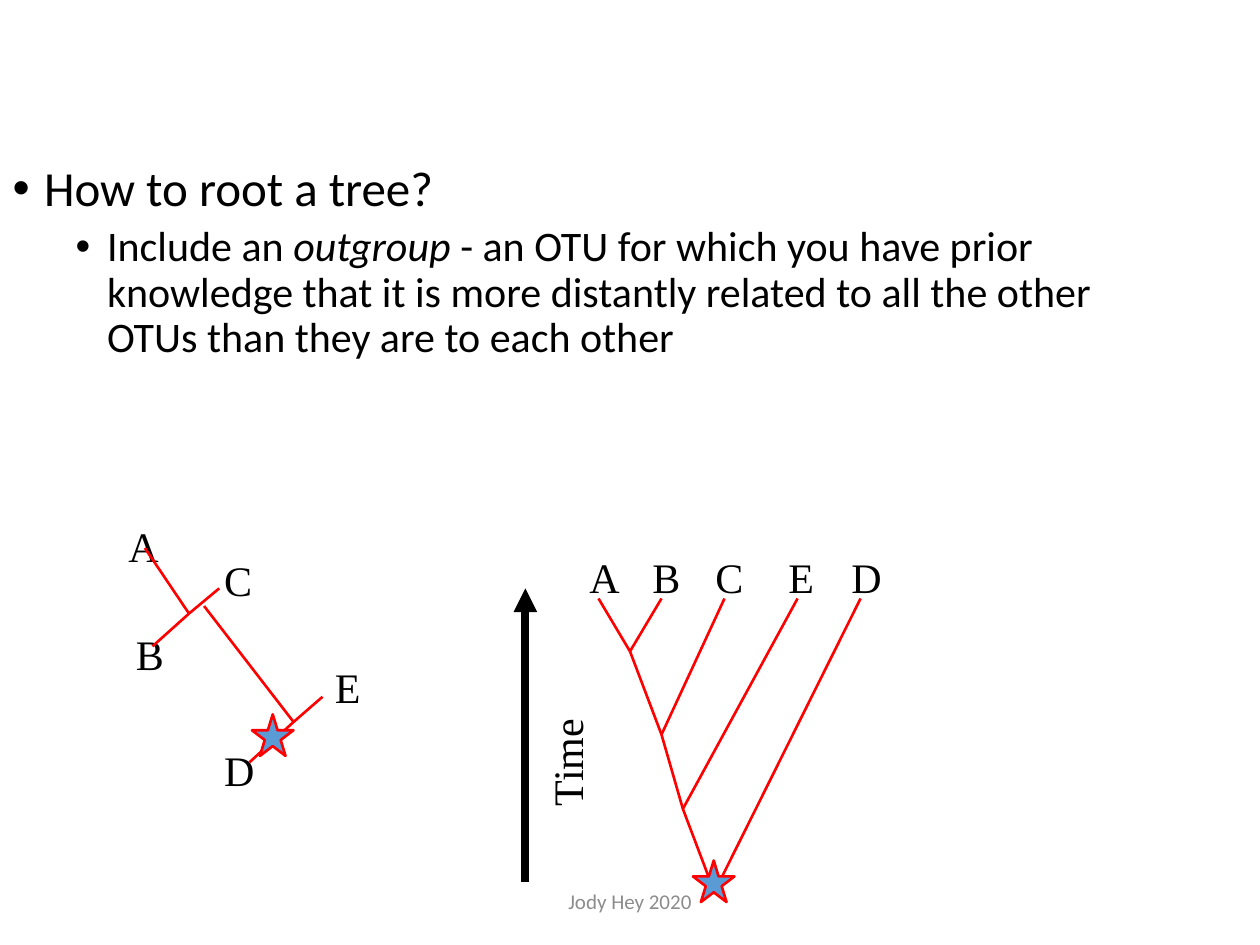
"""Build a slide on rooting a tree with an outgroup."""
from dataclasses import dataclass
from itertools import pairwise

from lxml import etree
from pptx import Presentation
from pptx import util as u
from pptx.dml.color import RGBColor
from pptx.enum import shapes, text
from pptx.oxml import ns


@dataclass(frozen=True)
class Theme:
    ink: str = "000000"
    branch: str = "FF0000"
    star: str = "5B9BD5"
    grey: str = "8C8C8C"
    sans: str = "Calibri"
    serif: str = "Times New Roman"
    head: int = 28
    sub: int = 24
    label: int = 24
    foot: int = 12
    thin: float = 1.5
    thick: float = 4.5


THEME = Theme()


def assign(item, values):
    for key, value in values.items():
        setattr(item, key, value)


def style(font, face, size, color):
    assign(font, {"name": face, "size": u.Pt(size)})
    font.color.rgb = RGBColor.from_string(color)


def inches(*values):
    return [u.Inches(value) for value in values]


def add_label(parent, words, box, turn=0):
    label = parent.add_textbox(*inches(*box))
    label.rotation = turn
    frame = label.text_frame
    assign(frame, {"word_wrap": True, "text": words})
    style(frame.paragraphs[0].font, THEME.serif, THEME.label, THEME.ink)


def add_line(parent, start, end, color=THEME.branch, width=THEME.thin):
    line = parent.add_connector(
        shapes.MSO_CONNECTOR.STRAIGHT, *inches(*start, *end))
    line.line.color.rgb = RGBColor.from_string(color)
    line.line.width = u.Pt(width)
    etree.SubElement(line._element.spPr, ns.qn("a:effectLst"))
    return line


def add_star(parent, left, top):
    star = parent.add_shape(
        shapes.MSO_SHAPE.STAR_5_POINT, *inches(left, top, 0.33, 0.33))
    star.shadow.inherit = False
    star.fill.solid()
    star.fill.fore_color.rgb = RGBColor.from_string(THEME.star)
    star.line.color.rgb = RGBColor.from_string(THEME.branch)
    star.line.width = u.Pt(THEME.thin)


def add_point(para, level, runs, size, indent, before):
    props = para._p.get_or_add_pPr()
    for key, value in {"marL": indent, "indent": -0.25}.items():
        props.set(key, str(u.Inches(value)))
    assign(para, {"level": level, "line_spacing": 0.9,
                  "space_before": u.Pt(before)})
    etree.SubElement(props, ns.qn("a:buFont"), typeface="Arial")
    etree.SubElement(props, ns.qn("a:buChar"), char="•")
    for words, slant in runs:
        run = para.add_run()
        run.text = words
        style(run.font, THEME.sans, size, THEME.ink)
        run.font.italic = slant


def fill_body(body):
    left, top, width, height = inches(0, 1.25, 9, 2.75)
    assign(body, {"left": left, "top": top, "width": width, "height": height})
    frame = body.text_frame
    assign(frame, {"word_wrap": True, "auto_size": text.MSO_AUTO_SIZE.NONE})
    add_point(frame.paragraphs[0], 0, [("How to root a tree?", False)],
              THEME.head, 0.25, 0)
    add_point(frame.add_paragraph(), 1, [
        ("Include an ", False),
        ("outgroup", True),
        (" - an OTU for which you have prior knowledge that it is more "
         "distantly related to all the other OTUs than they are to each "
         "other", False),
    ], THEME.sub, 0.75, 5)


def add_unrooted(parent):
    group = parent.add_group_shape().shapes
    spots = {"D": (1.68, 5.86), "E": (2.56, 5.2), "C": (1.68, 4.35),
             "B": (0.98, 4.94), "A": (0.92, 4.08)}
    for name, spot in spots.items():
        add_label(group, name, (*spot, 0.35, 0.5))
    forks = {(1.5, 4.87): [(1.15, 4.35), (1.21, 5.13), (1.74, 4.67)],
             (2.33, 5.73): [(1.62, 4.81), (2.56, 5.53), (1.98, 6.05)]}
    for fork, ends in forks.items():
        for end in ends:
            add_line(group, fork, end)
    add_star(parent, 2, 5.67)


def add_rooted(parent):
    group = parent.add_group_shape().shapes
    tips = {"A": 4.75, "B": 5.25, "C": 5.75, "E": 6.33, "D": 6.83}
    spine = [(5, 5.17), (5.25, 5.83), (5.42, 6.42), (5.67, 7.08)]
    for (name, tip), node in zip(tips.items(), spine[:1] + spine):
        add_line(group, (tip, 4.75), node)
        add_label(group, name, (tip - 0.17, 4.33, 0.5, 0.5))
    for start, end in pairwise(spine):
        add_line(group, start, end)


def add_time(parent):
    group = parent.add_group_shape().shapes
    arrow = add_line(group, (4.17, 7), (4.17, 4.67), THEME.ink, THEME.thick)
    etree.SubElement(arrow.line._get_or_add_ln(), ns.qn("a:tailEnd"),
                     type="triangle")
    add_label(group, "Time", (3.83, 5.58, 1.33, 0.5), 270)


def add_footer(parent):
    frame = parent.add_textbox(*inches(3.31, 6.95, 3.38, 0.4)).text_frame
    assign(frame, {"word_wrap": True, "text": "Jody Hey 2020",
                   "vertical_anchor": text.MSO_ANCHOR.MIDDLE})
    para = frame.paragraphs[0]
    para.alignment = text.PP_ALIGN.CENTER
    style(para.font, THEME.sans, THEME.foot, THEME.grey)


def main():
    deck = Presentation()
    assign(deck, {"slide_width": u.Inches(10), "slide_height": u.Inches(7.5)})
    slide = deck.slides.add_slide(deck.slide_layouts[1])
    title = slide.shapes.title._element
    title.getparent().remove(title)
    fill_body(slide.placeholders[1])
    add_unrooted(slide.shapes)
    add_rooted(slide.shapes)
    add_time(slide.shapes)
    add_star(slide.shapes, 5.5, 6.83)
    add_footer(slide.shapes)
    deck.save("out.pptx")


if __name__ == "__main__":
    main()
